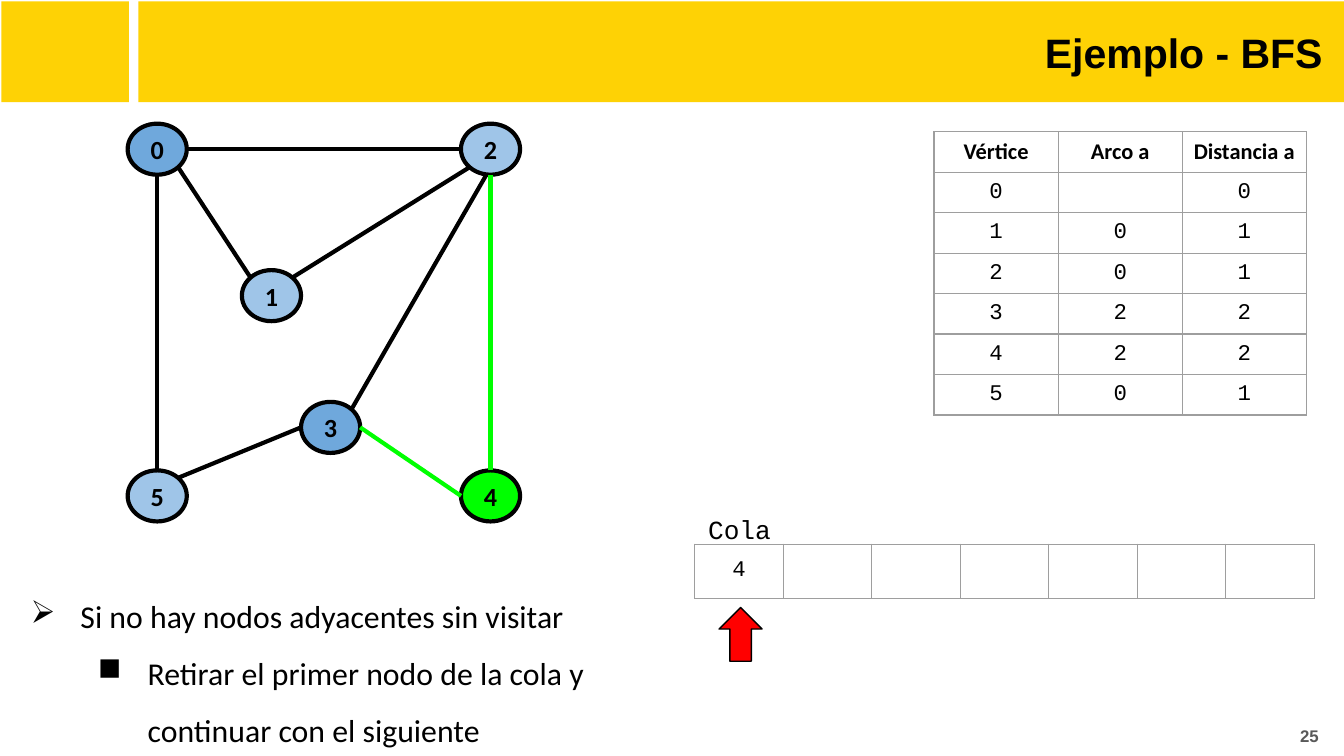
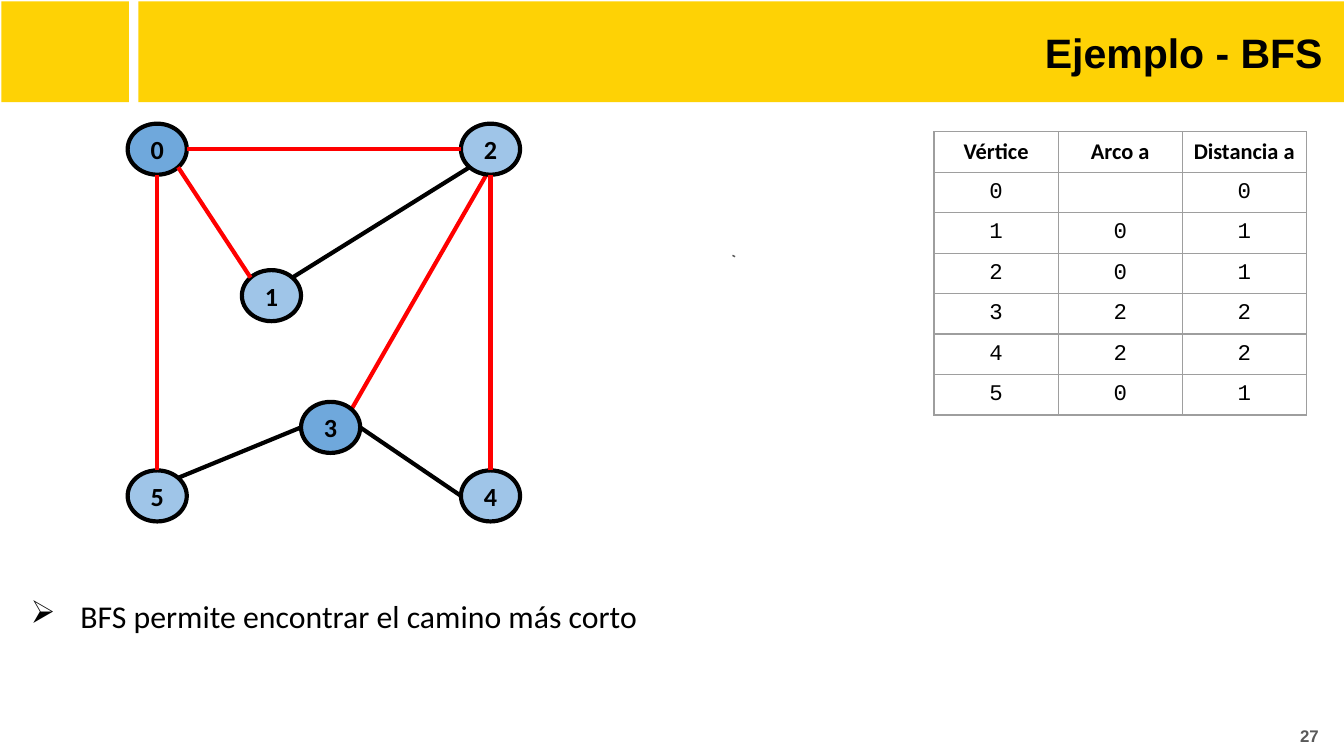
from dataclasses import dataclass
from math import sqrt

from lxml import etree
from pptx import Presentation
from pptx.dml.color import RGBColor
from pptx.enum.shapes import MSO_CONNECTOR, MSO_SHAPE
from pptx.enum.text import MSO_ANCHOR, PP_ALIGN
from pptx.oxml.ns import qn
from pptx.util import Inches, Pt

LEFT, CENTER, RIGHT = PP_ALIGN.LEFT, PP_ALIGN.CENTER, PP_ALIGN.RIGHT
TOP, MIDDLE = MSO_ANCHOR.TOP, MSO_ANCHOR.MIDDLE
RECTANGLE, OVAL, DOWN_ARROW = MSO_SHAPE.RECTANGLE, MSO_SHAPE.OVAL, MSO_SHAPE.DOWN_ARROW
STRAIGHT = MSO_CONNECTOR.STRAIGHT

YELLOW = RGBColor(0xFE, 0xD2, 0x05)
BLACK = RGBColor(0x00, 0x00, 0x00)
GRAY = RGBColor(0x59, 0x59, 0x59)
BORDER = RGBColor(0x9E, 0x9E, 0x9E)
DARK_BLUE = RGBColor(0x6F, 0xA8, 0xDC)
LIGHT_BLUE = RGBColor(0x9F, 0xC5, 0xE8)
GREEN = RGBColor(0x00, 0xFF, 0x00)
RED = RGBColor(0xFF, 0x00, 0x00)

WIDTH = Inches(10)
HEIGHT = WIDTH * 9 // 16
UNIT = WIDTH // 100


@dataclass(frozen=True)
class Box:
    """A region in columns and rows, each a hundredth of the slide's width."""
    left: float
    top: float
    width: float
    height: float

    def inner(self, left, top, width, height):
        """Return a box placed relative to this one."""
        return Box(self.left + left, self.top + top, width, height)

    def site(self, across, down):
        """Return the point of the inscribed ellipse in a compass direction."""
        length = sqrt(across ** 2 + down ** 2)
        return (self.left + self.width / 2 * (1 + across / length),
                self.top + self.height / 2 * (1 + down / length))

    def lengths(self):
        """Return left, top, width and height as slide lengths."""
        return [round(value * UNIT) for value in
                (self.left, self.top, self.width, self.height)]


@dataclass(frozen=True)
class Style:
    """The look of a run of text."""
    font: str
    size: int
    bold: bool = False
    color: RGBColor = BLACK


TITLE = Style("Arial", 22, True)
NUMBER = Style("Arial", 9, True, GRAY)
NODE = Style("Calibri", 14, True)
HEADING = Style("Calibri", 12, True)
VALUE = Style("Courier New", 12)
LABEL = Style("Courier New", 14)
BULLET = Style("Calibri", 17)

BAND = Box(0.1, 0.1, 99.9, 7.5)
GRAPH = Box(9.5, 9.2, 29.2, 29.6)
DISTANCES = Box(69.5, 9.8, 27.7, 21.1)
QUEUE = Box(51.7, 36, 46.1, 13.2)
STEPS = Box(0, 42, 47.2, 13.5)
CONCLUSION = Box(0, 42, 97.2, 10.9)

NODES = {0: (0, 0), 1: (8.5, 10.9), 2: (24.8, 0),
         3: (12.9, 20.7), 4: (24.8, 25.8), 5: (0, 25.8)}
DARK_NODES = (0, 3)
BACK_EDGES = {(2, 3): ((1, -1), (1, -1))}
FRONT_EDGES = {
    (0, 1): ((1, 1), (-1, -1)),
    (0, 2): ((1, 0), (-1, 0)),
    (0, 5): ((0, 1), (0, -1)),
    (3, 5): ((-1, 0), (1, -1)),
    (4, 3): ((-1, 0), (1, 0)),
    (4, 2): ((0, -1), (0, 1)),
    (2, 1): ((-1, 1), (1, -1)),
}
DISTANCE_ROWS = [
    ["Vértice", "Arco a", "Distancia a"],
    ["0", "", "0"],
    ["1", "0", "1"],
    ["2", "0", "1"],
    ["3", "2", "2"],
    ["4", "2", "2"],
    ["5", "0", "1"],
]
BULLET_MARKS = "➢■"


def add_span(para, text, style):
    """Add one styled run to a paragraph."""
    span = para.add_run()
    span.text = text
    font = span.font
    font.name, font.size, font.bold = style.font, Pt(style.size), style.bold
    font.color.rgb = style.color


def set_frame(frame, anchor):
    """Give a text frame wrapping, an anchor and even insets."""
    frame.word_wrap = True
    frame.vertical_anchor = anchor
    frame.margin_left = frame.margin_right = UNIT
    frame.margin_top = frame.margin_bottom = UNIT


def add_text(page, box, text, style, align=LEFT, anchor=TOP):
    """Add a text box with one line and return its paragraph."""
    frame = page.shapes.add_textbox(*box.lengths()).text_frame
    set_frame(frame, anchor)
    para = frame.paragraphs[0]
    para.alignment = align
    add_span(para, text, style)
    return para


def add_shape(page, kind, box, fill, weight=0):
    """Add a filled shape, outlined in black when it has a weight."""
    shape = page.shapes.add_shape(kind, *box.lengths())
    shape.shadow.inherit = False
    shape.fill.solid()
    shape.fill.fore_color.rgb = fill
    if weight:
        shape.line.color.rgb = BLACK
        shape.line.width = Pt(weight)
    else:
        shape.line.fill.background()
    return shape


def add_line(page, start, end, color, weight):
    """Add a straight line without a shadow."""
    points = [round(value * UNIT) for value in (*start, *end)]
    line = page.shapes.add_connector(STRAIGHT, *points)
    line.line.color.rgb = color
    line.line.width = Pt(weight)
    etree.SubElement(line.element.spPr, qn("a:effectLst"))


def add_header(page, box, title):
    """Add the two yellow bands and the title."""
    add_shape(page, RECTANGLE, box.inner(10.2, 0, box.width - 10.2, box.height), YELLOW)
    add_shape(page, RECTANGLE, box.inner(0, 0, 9.5, box.height), YELLOW)
    add_text(page, box.inner(10.7, 0.6, 88.6, 6.3), title, TITLE, RIGHT, MIDDLE)


def add_graph(page, box, highlight, marked_edges, marked_nodes=()):
    """Add the graph with some of its edges and nodes highlighted."""
    places = {name: box.inner(*corner, 4.4, 3.8) for name, corner in NODES.items()}

    def add_edges(edges):
        """Join pairs of nodes between their sites."""
        for (first, second), (leaving, arriving) in edges.items():
            color = highlight if (first, second) in marked_edges else BLACK
            add_line(page, places[first].site(*leaving),
                     places[second].site(*arriving), color, 2.25)

    add_edges(BACK_EDGES)
    for name, place in places.items():
        fill = DARK_BLUE if name in DARK_NODES else LIGHT_BLUE
        if name in marked_nodes:
            fill = highlight
        node = add_shape(page, OVAL, place, fill, 2.25)
        set_frame(node.text_frame, MIDDLE)
        para = node.text_frame.paragraphs[0]
        para.alignment = CENTER
        add_span(para, str(name), NODE)
    add_edges(FRONT_EDGES)


def fill_cell(cell, text, style, margin, anchor):
    """Write a cell and give it thin gray borders and no fill."""
    cell.margin_left = cell.margin_right = margin
    cell.margin_top = cell.margin_bottom = margin
    cell.vertical_anchor = anchor
    para = cell.text_frame.paragraphs[0]
    para.alignment = CENTER
    if text:
        add_span(para, text, style)
    else:
        etree.SubElement(para._p, qn("a:endParaRPr"), sz=str(style.size * 100))
    properties = cell._tc.get_or_add_tcPr()
    for side in ("lnL", "lnR", "lnT", "lnB"):
        border = etree.SubElement(properties, qn(f"a:{side}"), w=str(Pt(0.75)))
        solid = etree.SubElement(border, qn("a:solidFill"))
        etree.SubElement(solid, qn("a:srgbClr"), val=str(BORDER))
    cell.fill.background()


def add_grid(page, box, rows, styles, margin, anchor):
    """Add a plain table with equal columns and equal rows."""
    columns = len(rows[0])
    table = page.shapes.add_table(len(rows), columns, *box.lengths()).table
    table.first_row = table.horz_banding = False
    for column in table.columns:
        column.width = round(box.width * UNIT / columns)
    for row, texts, style in zip(table.rows, rows, styles):
        row.height = round(box.height * UNIT / len(rows))
        for cell, text in zip(row.cells, texts):
            fill_cell(cell, text, style, margin, anchor)


def add_distances(page, box):
    """Add the table of vertices, arcs and distances."""
    styles = [HEADING] + [VALUE] * (len(DISTANCE_ROWS) - 1)
    add_grid(page, box, DISTANCE_ROWS, styles, Inches(0.02), MIDDLE)


def add_queue(page, box, values):
    """Add the queue with its label and the arrow at its head."""
    add_grid(page, box.inner(0, 4.5, box.width, 3.9), [values], [VALUE], UNIT, TOP)
    label = add_text(page, box.inner(0, 0, box.width, 4.4), "Cola", LABEL)
    label.line_spacing = 1.5
    label.space_after = Pt(12)
    arrow = add_shape(page, DOWN_ARROW, box.inner(1.8, 9.2, 3.2, 4), RED, 0.75)
    arrow.rotation = 180


def add_bullets(page, box, texts):
    """Add bulleted lines, each one level deeper than the last."""
    frame = page.shapes.add_textbox(*box.lengths()).text_frame
    set_frame(frame, TOP)
    for level, text in enumerate(texts):
        para = frame.add_paragraph() if level else frame.paragraphs[0]
        para.level = level
        para.line_spacing = 1.5
        properties = para._p.get_or_add_pPr()
        properties.set("marL", str(Inches(0.5 * (level + 1))))
        properties.set("indent", str(Inches(-0.37)))
        color = etree.SubElement(properties, qn("a:buClr"))
        etree.SubElement(color, qn("a:srgbClr"), val=str(BLACK))
        etree.SubElement(properties, qn("a:buChar"), char=BULLET_MARKS[level])
        add_span(para, text, BULLET)


def add_page(deck, number):
    """Add a blank slide with the header, the distances and its number."""
    page = deck.slides.add_slide(deck.slide_layouts[6])
    add_header(page, BAND, "Ejemplo - BFS")
    add_text(page, Box(94.7, 52.6, 4.4, 4.3), str(number), NUMBER, RIGHT, MIDDLE)
    add_distances(page, DISTANCES)
    return page


def add_queue_page(deck):
    """Add the step that visits the last node of the queue."""
    page = add_page(deck, 25)
    add_graph(page, GRAPH, GREEN, {(4, 3), (4, 2)}, {4})
    add_queue(page, QUEUE, ["4"] + [""] * 6)
    add_bullets(page, STEPS, [
        "Si no hay nodos adyacentes sin visitar",
        "Retirar el primer nodo de la cola y continuar con el siguiente",
    ])


def add_result_page(deck):
    """Add the shortest paths that were found."""
    page = add_page(deck, 27)
    add_graph(page, GRAPH, RED, {(2, 3), (0, 1), (0, 2), (0, 5), (4, 2)})
    add_bullets(page, CONCLUSION, ["BFS permite encontrar el camino más corto"])
    add_line(page, (54.7, 19.1), (54.5, 19), GRAY, 0.75)


def main():
    """Build and save the deck."""
    deck = Presentation()
    deck.slide_width, deck.slide_height = WIDTH, HEIGHT
    add_queue_page(deck)
    add_result_page(deck)
    deck.save("out.pptx")


if __name__ == "__main__":
    main()
